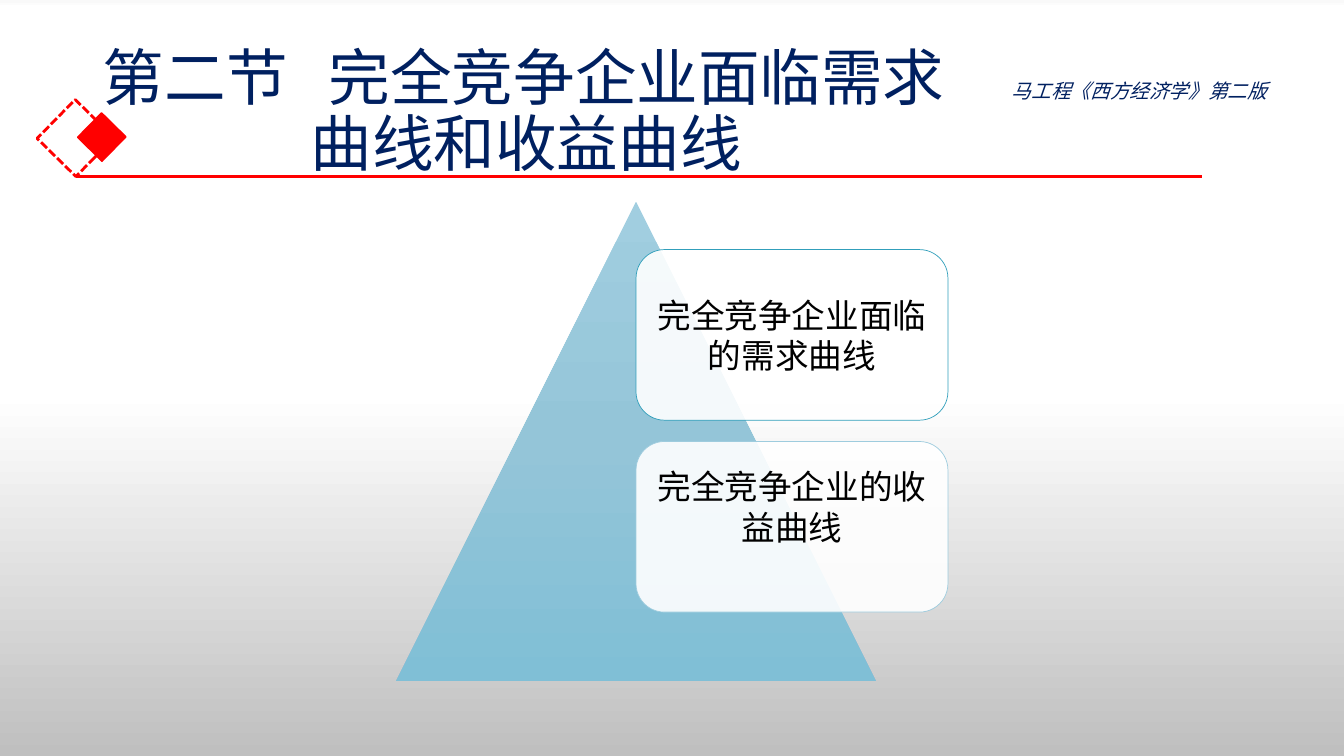
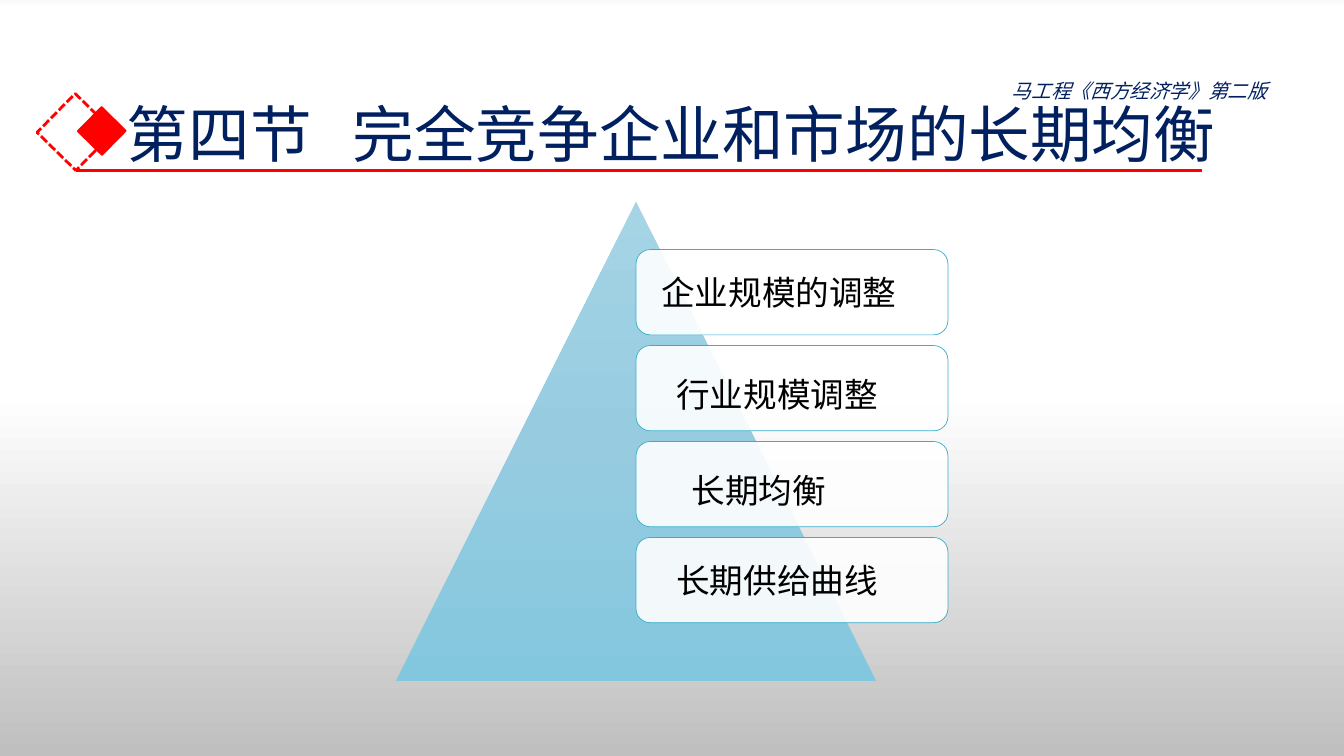
import pptx
import pptx.util
import pptx.dml.color
import pptx.enum.dml
import pptx.enum.shapes
import pptx.enum.text
import pptx.oxml
import pptx.oxml.ns
from dataclasses import dataclass

RGB = pptx.dml.color.RGBColor
NAVY = RGB(0x00, 0x20, 0x60)
RED = RGB(0xFF, 0x00, 0x00)
WHITE = RGB(0xFF, 0xFF, 0xFF)
BLACK = RGB(0x00, 0x00, 0x00)
SKY_GREY = RGB(0xF9, 0xF9, 0xF9)
FLOOR_GREY = RGB(0xBF, 0xBF, 0xBF)
TEAL = RGB(0x31, 0x9F, 0xBB)
PALE_TEAL = RGB(0x9E, 0xCC, 0xDE)
CYAN = RGB(0x36, 0xAF, 0xCE)
MUTED_PYRAMID = [(0, RGB(0xA1, 0xCE, 0xE0)), (50, RGB(0x94, 0xC5, 0xD8)),
                 (100, RGB(0x80, 0xBF, 0xD6))]
BRIGHT_PYRAMID = [(0, RGB(0xA5, 0xD4, 0xE5)), (50, RGB(0x97, 0xCC, 0xE0)),
                  (100, RGB(0x83, 0xC7, 0xDF))]
BACKDROP = [(0, SKY_GREY), (1, WHITE), (52, WHITE), (100, FLOOR_GREY)]

FONT = "Noto Sans CJK SC"
TITLE_TEXT = {"size": pptx.util.Pt(44), "name": FONT}
BOOK_TEXT = {"size": pptx.util.Pt(14), "name": FONT, "italic": True}
CARD_TEXT = {"size": pptx.util.Pt(24), "name": FONT}

GRID = pptx.util.Inches(0.1)  # one column or row
SLIDE_COLS, SLIDE_ROWS = 133.33, 75
SPACE = 0.75  # columns taken by one step of card indent
CORNER = 0.167
SHAPES = pptx.enum.shapes.MSO_SHAPE
ALIGN = pptx.enum.text.PP_ALIGN
ANCHOR = pptx.enum.text.MSO_ANCHOR


@dataclass
class Box:
    """A region in grid columns and rows."""
    col: float
    row: float
    cols: float
    rows: float

    def emu(self):
        return [grid(n) for n in (self.col, self.row, self.cols, self.rows)]


@dataclass
class Card:
    text: str
    border: RGB
    align: ALIGN = ALIGN.LEFT
    indent: int = 0
    drop: float = 0  # rows the text sits below the middle


def grid(count):
    return int(count * GRID)


def apply(target, values):
    for key, value in values.items():
        setattr(target, key, value)


def write(paragraph, text, style, color):
    run = paragraph.add_run()
    run.text = text
    run.font.color.rgb = color
    apply(run.font, style)
    east_asian = pptx.oxml.parse_xml(
        f'<a:ea {pptx.oxml.ns.nsdecls("a")} typeface="{FONT}"/>')
    run.font._element.append(east_asian)


def fill_gradient(fill, owner, stops):
    """Top-to-bottom gradient with any number of stops."""
    fill.gradient()
    fill.gradient_angle = 270
    stop_list = owner.find(".//" + pptx.oxml.ns.qn("a:gsLst"))
    for stop in list(stop_list):
        stop_list.remove(stop)
    for share, color in stops:
        stop_list.append(pptx.oxml.parse_xml(
            f'<a:gs {pptx.oxml.ns.nsdecls("a")} pos="{share * 1000}">'
            f'<a:srgbClr val="{color}"/></a:gs>'))


def add_plain_shape(slide, preset, box, line=None, width=1):
    shape = slide.shapes.add_shape(preset, *box.emu())
    shape.shadow.inherit = False
    if line is None:
        shape.line.fill.background()
    else:
        shape.line.color.rgb = line
        shape.line.width = pptx.util.Pt(width)
    return shape


def place_title(slide, box, section, lines, hang):
    """Section number, then the heading; later lines hang below it."""
    title = slide.shapes.title
    apply(title, dict(zip(("left", "top", "width", "height"), box.emu())))
    frame = title.text_frame
    apply(frame, {"word_wrap": True, "vertical_anchor": ANCHOR.MIDDLE,
                  "auto_size": pptx.enum.text.MSO_AUTO_SIZE.NONE})
    for index, line in enumerate(lines):
        paragraph = frame.add_paragraph() if index else frame.paragraphs[0]
        apply(paragraph, {"alignment": ALIGN.LEFT, "line_spacing": 0.9})
        props = paragraph._p.get_or_add_pPr()
        if index:
            props.set("marL", str(grid(hang)))
            props.set("indent", "0")
        else:
            props.append(pptx.oxml.parse_xml(
                f'<a:tabLst {pptx.oxml.ns.nsdecls("a")}>'
                f'<a:tab pos="{grid(22.4)}" algn="l"/></a:tabLst>'))
            line = f"{section}\t{line}"
        write(paragraph, line, TITLE_TEXT, NAVY)


def place_book_name(slide, box):
    frame = slide.shapes.add_textbox(*box.emu()).text_frame
    frame.word_wrap = True
    write(frame.paragraphs[0], "马工程《西方经济学》第二版", BOOK_TEXT, NAVY)


def place_rule(slide, row):
    """Red rule at the given row, with the two diamonds on its left end."""
    outline = add_plain_shape(slide, SHAPES.RECTANGLE,
                              Box(4.8, row - 6.5, 5.4, 5.4), RED, 2)
    outline.fill.background()
    outline.line.dash_style = pptx.enum.dml.MSO_LINE.SQUARE_DOT
    solid = add_plain_shape(slide, SHAPES.RECTANGLE,
                            Box(8.4, row - 5.6, 3.4, 3.4), RED)
    solid.fill.solid()
    solid.fill.fore_color.rgb = RED
    for diamond in (outline, solid):
        diamond.rotation = 314.5
    rule = slide.shapes.add_connector(
        pptx.enum.shapes.MSO_CONNECTOR.STRAIGHT,
        grid(7.5), grid(row), grid(119.2), grid(row))
    rule.line.color.rgb = RED
    rule.line.width = pptx.util.Pt(2.25)
    rule._element.spPr.append(pptx.oxml.parse_xml(
        f'<a:effectLst {pptx.oxml.ns.nsdecls("a")}/>'))


def place_card(slide, box, card):
    shape = add_plain_shape(slide, SHAPES.ROUNDED_RECTANGLE, box, card.border, 0.5)
    shape.adjustments[0] = CORNER
    shape.fill.solid()
    shape.fill.fore_color.rgb = WHITE
    tint = shape._element.spPr.find(".//" + pptx.oxml.ns.qn("a:srgbClr"))
    tint.append(pptx.oxml.parse_xml(
        f'<a:alpha {pptx.oxml.ns.nsdecls("a")} val="90000"/>'))
    margin = 1 - 0.29 * CORNER * box.rows  # the rounded corner already insets text
    frame = shape.text_frame
    apply(frame, {"word_wrap": True, "vertical_anchor": ANCHOR.MIDDLE,
                  "margin_left": grid(margin + card.indent * SPACE),
                  "margin_right": grid(margin),
                  "margin_top": grid(margin + max(0, 2 * card.drop)),
                  "margin_bottom": grid(margin + max(0, -2 * card.drop))})
    frame.paragraphs[0].alignment = card.align
    write(frame.paragraphs[0], card.text, CARD_TEXT, BLACK)


def place_pyramid(slide, box, stops, cards):
    """Triangle with a stack of cards starting at its centre line."""
    triangle = add_plain_shape(slide, SHAPES.ISOSCELES_TRIANGLE, box)
    fill_gradient(triangle.fill, triangle._element, stops)
    pitch = 0.8 * box.rows / len(cards)
    for index, card in enumerate(cards):
        place_card(slide, Box(box.col + box.cols / 2,
                              box.row + 0.1 * box.rows + index * pitch,
                              0.65 * box.cols, pitch * 8 / 9), card)


def add_section_slide(deck, title_box, section, lines, rule_row, stops, cards, hang=0):
    slide = deck.slides.add_slide(deck.slide_layouts[5])
    fill_gradient(slide.background.fill, slide._element, BACKDROP)
    place_book_name(slide, Box(99.4, 7.3, 32.4, 3.4))
    place_title(slide, title_box, section, lines, hang)
    place_pyramid(slide, Box(39.3, 20, 47.6, 47.6), stops, cards)
    place_rule(slide, rule_row)


def main():
    deck = pptx.Presentation()
    deck.slide_width, deck.slide_height = grid(SLIDE_COLS), grid(SLIDE_ROWS)
    add_section_slide(
        deck, Box(9.2, 4, 115, 14.5), "第二节",
        ["完全竞争企业面临需求", "曲线和收益曲线"], 17.5, MUTED_PYRAMID,
        [Card("完全竞争企业面临的需求曲线", TEAL, ALIGN.CENTER),
         Card("完全竞争企业的收益曲线", PALE_TEAL, ALIGN.CENTER, drop=-2)],
        hang=20.6)
    add_section_slide(
        deck, Box(11.6, 6.4, 112.5, 14.5), "第四节",
        ["完全竞争企业和市场的长期均衡"], 16.9, BRIGHT_PYRAMID,
        [Card("企业规模的调整", CYAN, indent=2),
         Card("行业规模调整", CYAN, indent=4, drop=0.6),
         Card("长期均衡", CYAN, indent=6, drop=0.6),
         Card("长期供给曲线", CYAN, indent=4)])
    deck.save("out.pptx")


if __name__ == "__main__":
    main()
